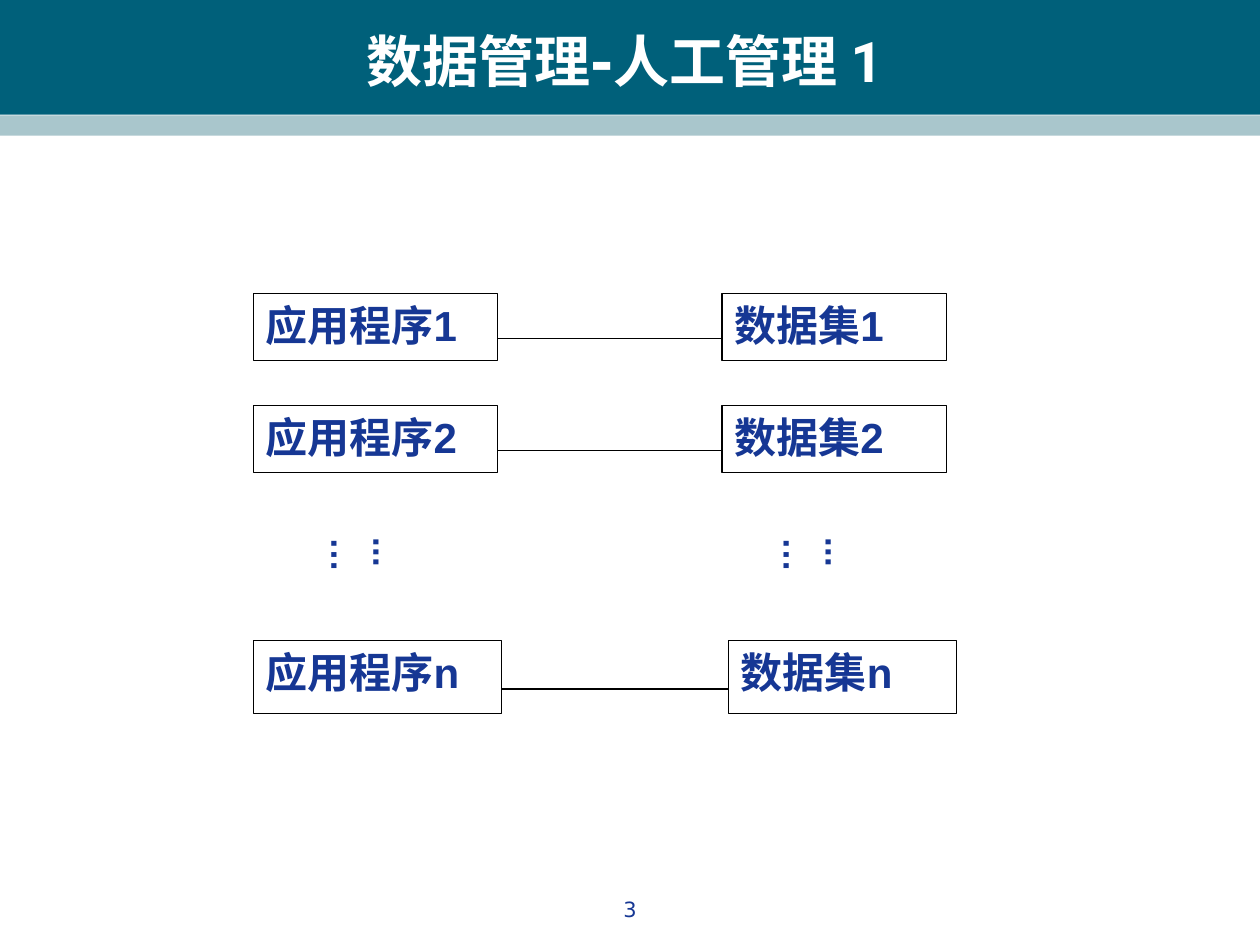
from dataclasses import dataclass

from lxml import etree
from pptx import Presentation
from pptx.dml.color import RGBColor
from pptx.enum import shapes, text
from pptx.oxml import ns
from pptx.util import Pt


@dataclass(frozen=True)
class Theme:
    """Colours, fonts and sizes of the slide."""
    banner: RGBColor = RGBColor.from_string("00607A")
    stripe: RGBColor = RGBColor.from_string("A9C6CC")
    white: RGBColor = RGBColor.from_string("FFFFFF")
    black: RGBColor = RGBColor.from_string("000000")
    ink: RGBColor = RGBColor.from_string("163794")
    body_font: str = "Arial"
    head_font: str = "DejaVu Sans"
    title_end_font: str = "Roboto"
    title_size: int = 32
    box_size: int = 24
    dots_size: int = 20
    number_size: int = 12
    line_width: float = 0.75


THEME = Theme()


def apply(target, **values):
    """Set each named attribute on the target."""
    for name, value in values.items():
        setattr(target, name, value)


def write(paragraph, words, size, color, font=THEME.body_font, bold=True):
    """Add a formatted run to the paragraph."""
    run = paragraph.add_run()
    run.text = words
    apply(run.font, name=font, size=Pt(size), bold=bold)
    run.font.color.rgb = color


def add_rect(slide, box, fill, outline=None):
    """Draw a flat rectangle in the box."""
    rect = slide.shapes.add_shape(shapes.MSO_SHAPE.RECTANGLE, *map(Pt, box))
    rect.shadow.inherit = False
    rect.fill.solid()
    rect.fill.fore_color.rgb = fill
    if outline is None:
        rect.line.fill.background()
    else:
        rect.line.color.rgb = outline
        rect.line.width = Pt(THEME.line_width)
    return rect


def add_header(slide, box):
    """Place the banner, its stripe and the title in the box."""
    left, top, width, height = box
    add_rect(slide, (left, top, width, height - 12), THEME.banner)
    add_rect(slide, (left, top + height - 11.5, width, 11.5), THEME.stripe)
    title = slide.shapes.title
    slide.shapes._spTree.append(title._element)
    apply(title, left=Pt(left + 23.8), top=Pt(top + 12.2),
          width=Pt(666), height=Pt(44.6))
    apply(title.text_frame, auto_size=text.MSO_AUTO_SIZE.NONE,
          vertical_anchor=text.MSO_ANCHOR.MIDDLE)
    heading = title.text_frame.paragraphs[0]
    heading.alignment = text.PP_ALIGN.CENTER
    for words, font in (("数据管理-", THEME.head_font),
                        ("人工管理 1", THEME.title_end_font)):
        write(heading, words, THEME.title_size, THEME.white, font)


def add_label_box(slide, box, label):
    """Draw an outlined box with its label at the top left."""
    rect = add_rect(slide, box, THEME.white, THEME.black)
    apply(rect.text_frame, word_wrap=True, vertical_anchor=text.MSO_ANCHOR.TOP)
    paragraph = rect.text_frame.paragraphs[0]
    paragraph.alignment = text.PP_ALIGN.LEFT
    write(paragraph, label, THEME.box_size, THEME.ink)


def add_pair(slide, box, index, program_width, data_width, link_drop):
    """Draw a program and its data set at the ends of the box, with a link."""
    left, top, width, height = box
    program_right = left + program_width
    data_left = left + width - data_width
    add_label_box(slide, (left, top, program_width, height), f"应用程序{index}")
    add_label_box(slide, (data_left, top, data_width, height), f"数据集{index}")
    link_y = top + link_drop
    link = slide.shapes.add_connector(
        shapes.MSO_CONNECTOR.STRAIGHT,
        *map(Pt, (program_right, link_y, data_left, link_y)))
    link.line.color.rgb = THEME.black
    link.line.width = Pt(THEME.line_width)
    etree.SubElement(link._element.spPr, ns.qn("a:effectLst"))


def add_dots(slide, box):
    """Place vertical dots in the box."""
    dots = slide.shapes.add_textbox(*map(Pt, box))
    frame = dots.text_frame
    apply(frame, word_wrap=True, auto_size=text.MSO_AUTO_SIZE.SHAPE_TO_FIT_TEXT)
    frame._txBody.bodyPr.set("vert", "eaVert")
    paragraph = frame.paragraphs[0]
    paragraph.space_before = Pt(THEME.dots_size / 2)
    write(paragraph, "...…", THEME.dots_size, THEME.ink)


def add_diagram(slide, box):
    """Lay out the rows of programs and data sets in the box."""
    left, top, width, height = box
    for index, drop in ((1, 0), (2, 64)):
        add_pair(slide, (left, top + drop, width - 5.8, 38.2), index,
                 139.7, 128.2, 25.6)
    add_pair(slide, (left, top + height - 41.8, width, 41.8), "n",
             141.8, 130.3, 28)
    for dots_left in (53.3, 311.8):
        add_dots(slide, (left + dots_left, top + 132.4, 38.9, 48.2))


def add_page_number(slide, box):
    """Place the centred page number in the box."""
    number = slide.shapes.add_textbox(*map(Pt, box))
    number.text_frame.word_wrap = True
    paragraph = number.text_frame.paragraphs[0]
    paragraph.alignment = text.PP_ALIGN.CENTER
    write(paragraph, "3", THEME.number_size, THEME.ink, THEME.head_font, False)


def main():
    """Build and save the slide."""
    deck = Presentation()
    apply(deck, slide_width=Pt(720), slide_height=Pt(540))
    slide = deck.slides.add_slide(deck.slide_layouts[5])
    add_header(slide, (0, 0, 720, 77.5))
    add_diagram(slide, (144.7, 167.8, 401.8, 239.8))
    add_page_number(slide, (276, 509, 168, 25))
    deck.save("out.pptx")


if __name__ == "__main__":
    main()
